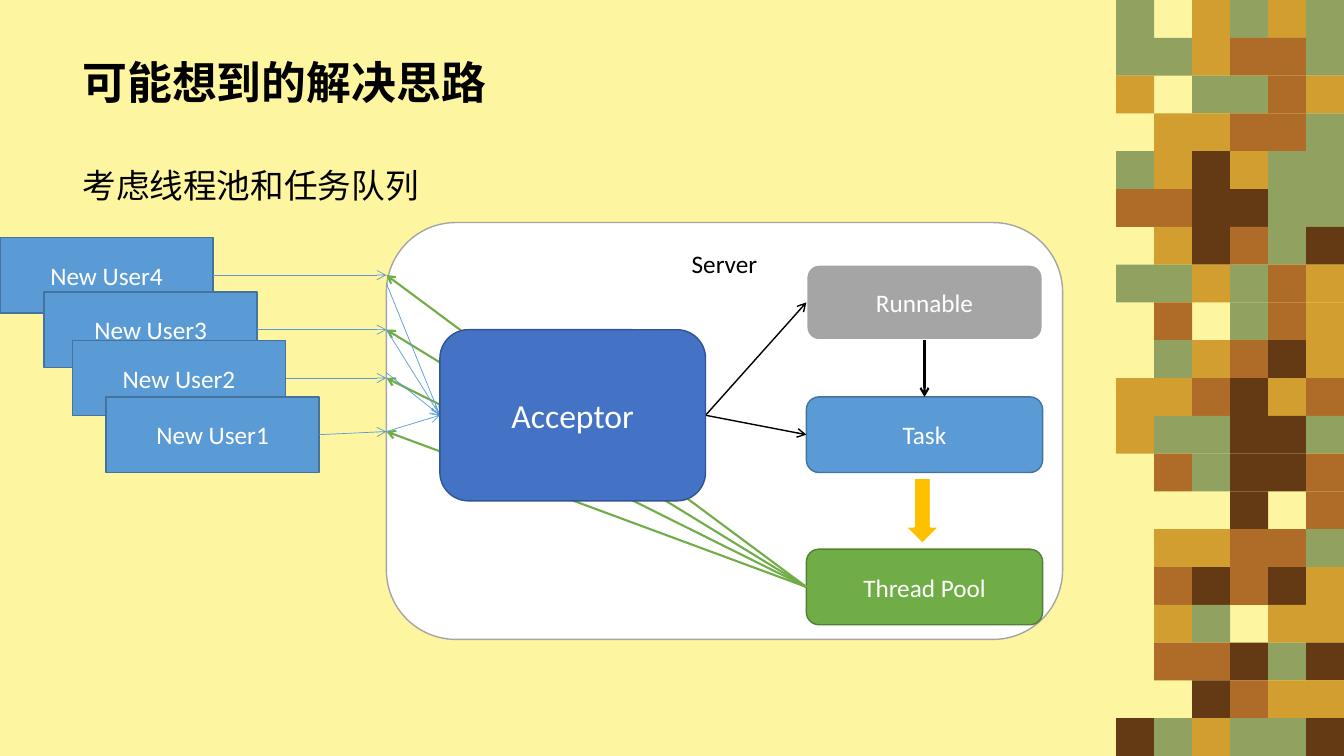
import pptx
import pptx.util
import pptx.dml.color
import pptx.enum.shapes
import pptx.enum.text
import pptx.oxml.ns
from lxml import etree

SHAPE = pptx.enum.shapes.MSO_SHAPE
ANCHOR = pptx.enum.text.MSO_ANCHOR
ALIGN = pptx.enum.text.PP_ALIGN
TOP, LEFT, BOTTOM, RIGHT = range(4)
BLACK, WHITE, GREY = "000000", "FFFFFF", "A5A5A5"
BLUE, NAVY, GREEN = "5B9BD5", "43739E", "70AD47"


def color(value):
    return pptx.dml.color.RGBColor.from_string(value)


def child(parent, tag, **attrs):
    return etree.SubElement(parent, pptx.oxml.ns.qn(tag), attrs)


class Deck:
    """Draws styled elements on one slide, measured on a 128 by 72 grid."""

    def __init__(self, background):
        self.prs = pptx.Presentation()
        self.prs.slide_width = pptx.util.Inches(13.33)
        self.prs.slide_height = pptx.util.Inches(7.5)
        self.s = self.prs.slides.add_slide(self.prs.slide_layouts[1])
        self.s.background.fill.solid()
        self.s.background.fill.fore_color.rgb = color(background)

    def grid(self, *cells):
        units = self.prs.slide_width / 128, self.prs.slide_height / 72
        return [round(c * units[i % 2]) for i, c in enumerate(cells)]

    def label(self, tf, text, size, ink, font, align, anchor, bold=False):
        tf.word_wrap = True
        tf.vertical_anchor = anchor
        p = tf.paragraphs[0]
        p.text = text
        p.alignment = align
        p.font.size = pptx.util.Pt(size)
        p.font.name = font
        p.font.bold = bold
        p.font.color.rgb = color(ink)
        return p

    def placeholder(self, index, box, text, size, bold=False):
        sp = self.s.placeholders[index]
        sp.left, sp.top, sp.width, sp.height = self.grid(*box)
        sp.text_frame.auto_size = pptx.enum.text.MSO_AUTO_SIZE.NONE
        font = "Noto Sans CJK SC"
        p = self.label(sp.text_frame, text, size, BLACK, font, ALIGN.LEFT, ANCHOR.TOP, bold)
        p.space_before = pptx.util.Pt(0)
        pPr = p._p.get_or_add_pPr()
        pPr.set("marL", "0")
        pPr.set("indent", "0")
        defRPr = pPr.find(pptx.oxml.ns.qn("a:defRPr"))
        child(defRPr, "a:ea", typeface=font)
        defRPr.addprevious(child(pPr, "a:buNone"))

    def shape(self, kind, box, fill, line=None, width=1.0, text="", size=18,
              ink=WHITE, anchor=ANCHOR.MIDDLE):
        sp = self.s.shapes.add_shape(kind, *self.grid(*box))
        sp.shadow.inherit = False
        sp.fill.solid()
        sp.fill.fore_color.rgb = color(fill)
        if line:
            sp.line.color.rgb = color(line)
            sp.line.width = pptx.util.Pt(width)
        else:
            sp.line.fill.background()
        if text:
            self.label(sp.text_frame, text, size, ink, "Calibri", ALIGN.CENTER, anchor)
        return sp

    def arrow(self, start, end, ink, width):
        """Joins two ends, each a grid point or a (shape, side) pair."""
        cxn = self.s.shapes.add_connector(pptx.enum.shapes.MSO_CONNECTOR.STRAIGHT, 0, 0, 0, 0)
        if isinstance(start[0], (int, float)):
            cxn.begin_x, cxn.begin_y = self.grid(*start)
        else:
            cxn.begin_connect(*start)
        if isinstance(end[0], (int, float)):
            cxn.end_x, cxn.end_y = self.grid(*end)
        else:
            cxn.end_connect(*end)
        cxn.line.color.rgb = color(ink)
        cxn.line.width = pptx.util.Pt(width)
        child(cxn.line._get_or_add_ln(), "a:tailEnd", type="arrow")
        child(cxn._element.spPr, "a:effectLst")

    def mosaic(self, left, width, height, columns, palette):
        for c, column in enumerate(columns):
            for r, key in enumerate(column):
                if key in palette:
                    box = left + c * width, r * height, width, height
                    self.shape(SHAPE.RECTANGLE, box, palette[key])

    def raise_to_front(self, sp):
        self.s.shapes._spTree.append(sp._element)


def main():
    deck = Deck("FDF5A0")
    deck.mosaic(
        106.3, 3.62, 3.6,
        ["GGY.GR.G..YY.......B",
         ".G.YYRYGRGYGR.YRYR.G",
         "YYGYBBBY.YRGG.YBGRBY",
         "GRGRYBRGGRBBBBRR.BRG",
         "YRRRGGGRRBYBB.RBYGYG",
         "GGYGGGBYYYRGRRGYYBYB"],
        {"G": "91A15F", "Y": "D29E30", "R": "AF6C29", "B": "643A15"})
    deck.placeholder(0, (6.9, 4.7, 45.5, 6.1), "可能想到的解决思路", 32, bold=True)
    deck.placeholder(1, (6.9, 15.2, 59.2, 8.7), "考虑线程池和任务队列", 24)

    rounded = SHAPE.ROUNDED_RECTANGLE
    wall = 36.8
    deck.shape(rounded, (wall, 21.2, 64.4, 39.7), WHITE, GREY, text="Server",
               ink=BLACK, anchor=ANCHOR.TOP)
    runnable, task, pool = [
        deck.shape(rounded, (76.8, top, 22.5, 7.2), fill, line, width, text)
        for top, fill, line, width, text in [
            (25.2, GREY, WHITE, 1.5, "Runnable"),
            (37.8, BLUE, NAVY, 1, "Task"),
            (52.3, GREEN, "538035", 1, "Thread Pool")]]
    acceptor = deck.shape(rounded, (41.9, 31.4, 25.3, 16.3), "4472C4", "325491",
                          text="Acceptor", size=24)
    for stage in runnable, task:
        deck.arrow((acceptor, RIGHT), (stage, LEFT), BLACK, 1)

    users = [
        deck.shape(SHAPE.RECTANGLE, (left, top, 20.3, 7.2), BLUE, NAVY, text=f"New User{n}")
        for n, left, top in [(4, 0, 22.6), (3, 4.2, 27.8), (2, 6.9, 32.4), (1, 10.1, 37.8)]]
    ports = [(wall, y) for y in (26.2, 31.4, 36, 41.1)]
    feeds = [(wall, y) for y in (27, 31.4, 35.5, 41.1)]
    for user, port in zip(users, ports):
        deck.arrow((user, RIGHT), port, BLUE, 0.5)
    for port in ports:
        deck.arrow((pool, LEFT), port, GREEN, 1.5)
    for feed in feeds:
        deck.arrow(feed, (acceptor, LEFT), BLUE, 0.5)
    deck.raise_to_front(acceptor)
    deck.arrow((runnable, BOTTOM), (task, TOP), BLACK, 1.5)
    deck.shape(SHAPE.DOWN_ARROW, (86.2, 45.5, 3.3, 6.3), "FFC000", WHITE, 1.5)
    deck.prs.save("out.pptx")


if __name__ == "__main__":
    main()
